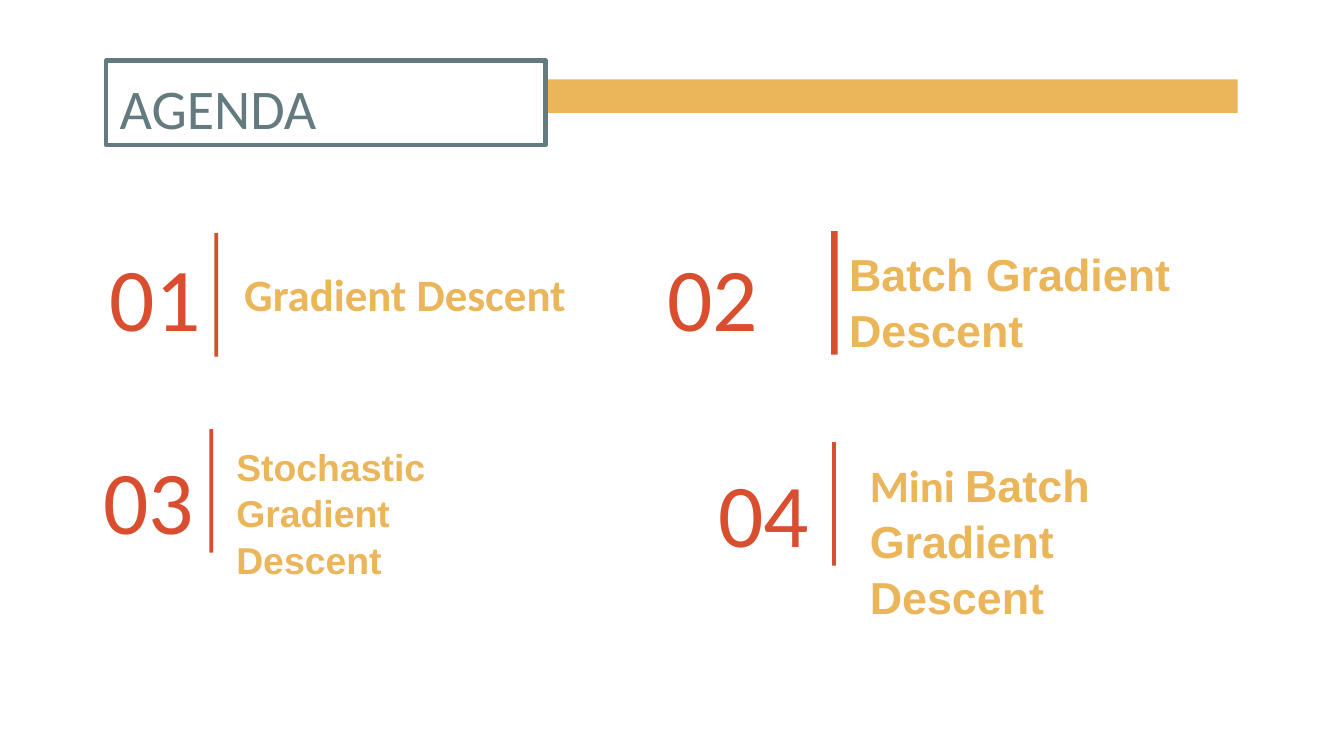
from pptx import Presentation
from pptx.dml.color import RGBColor
from pptx.enum import shapes, text
from pptx.util import Pt

SLATE = RGBColor(0x63, 0x7B, 0x7F)
GOLD = RGBColor(0xEB, 0xB5, 0x5A)
RED = RGBColor(0xD8, 0x4E, 0x2E)
WHITE = RGBColor(0xFF, 0xFF, 0xFF)
LATIN, SANS = "Calibri", "Arial"


class AgendaSlide:
    inset = Pt(7.2)
    number_size = 48
    number_box = 72.7, 66.2
    rule_height = 66.2

    def __init__(self, deck):
        self.slide = deck.slides.add_slide(deck.slide_layouts[5])

    def frame(self, shape, anchor=text.MSO_ANCHOR.TOP):
        frame = shape.text_frame
        frame.word_wrap = True
        frame.auto_size = text.MSO_AUTO_SIZE.NONE
        frame.vertical_anchor = anchor
        frame.margin_left = frame.margin_right = self.inset
        frame.margin_top = frame.margin_bottom = self.inset
        return frame

    def style(self, run, font, size, color, bold=False):
        run.font.name = font
        run.font.size = Pt(size)
        run.font.bold = bold
        run.font.color.rgb = color

    def textbox(self, left, top, width, height):
        return self.slide.shapes.add_textbox(Pt(left), Pt(top), Pt(width), Pt(height))

    def bar(self, left, top, width, height, color):
        bar = self.slide.shapes.add_shape(
            shapes.MSO_SHAPE.RECTANGLE, Pt(left), Pt(top), Pt(width), Pt(height))
        bar.shadow.inherit = False
        bar.fill.solid()
        bar.fill.fore_color.rgb = color
        bar.line.fill.background()
        return bar

    def heading(self, wording, left, top, width, height):
        heading = self.slide.shapes.title
        heading.left, heading.top = Pt(left), Pt(top)
        heading.width, heading.height = Pt(width), Pt(height)
        heading.fill.solid()
        heading.fill.fore_color.rgb = WHITE
        heading.line.color.rgb = SLATE
        heading.line.width = Pt(2.25)
        frame = self.frame(heading)
        frame.text = wording
        frame.paragraphs[0].alignment = text.PP_ALIGN.LEFT
        self.style(frame.paragraphs[0].runs[0], LATIN, 30, SLATE)
        return heading

    def number(self, wording, left, top):
        frame = self.frame(self.textbox(left, top, *self.number_box), text.MSO_ANCHOR.BOTTOM)
        frame.text = wording
        frame.paragraphs[0].alignment = text.PP_ALIGN.RIGHT
        self.style(frame.paragraphs[0].runs[0], LATIN, self.number_size, RED)

    def topic(self, parts, size, left, top, width, height):
        paragraph = self.frame(self.textbox(left, top, width, height)).paragraphs[0]
        paragraph.line_spacing = 1.04
        paragraph.space_after = Pt(16)
        for wording, font in parts:
            run = paragraph.add_run()
            run.text = wording
            self.style(run, font, size, GOLD, bold=True)


def main():
    deck = Presentation()
    deck.slide_width, deck.slide_height = Pt(720), Pt(405)
    agenda = AgendaSlide(deck)

    banner = agenda.bar(276.5, 42.5, 386.6, 18, GOLD)
    heading = agenda.heading("AGENDA", 56.9, 32.4, 235.4, 45.4)
    heading._element.addprevious(banner._element)

    entries = [
        ((41.8, 128.2), (114.9, 124.9, 2), 24, (123.8, 134.6, 198.7, 45.4),
         [("Gradient Descent", LATIN)]),
        ((340.6, 128.2), (445.2, 123.8, 3.6), 24, (447.8, 123.8, 198.7, 60.5),
         [("Batch Gradient Descent", SANS)]),
        ((38.2, 236.9), (112.2, 229.9, 2), 20, (119.5, 229.7, 165.6, 44.6),
         [("Stochastic Gradient Descent", SANS)]),
        ((367.9, 244.1), (445.8, 236.9, 2), 24, (458.9, 236.9, 198.7, 45.4),
         [("Mini ", LATIN), ("Batch Gradient Descent", SANS)]),
    ]
    for index, (number_at, rule, size, topic_at, parts) in enumerate(entries, 1):
        agenda.number(f"{index:02}", *number_at)
        agenda.bar(*rule, agenda.rule_height, RED)
        agenda.topic(parts, size, *topic_at)

    deck.save("out.pptx")


if __name__ == "__main__":
    main()
